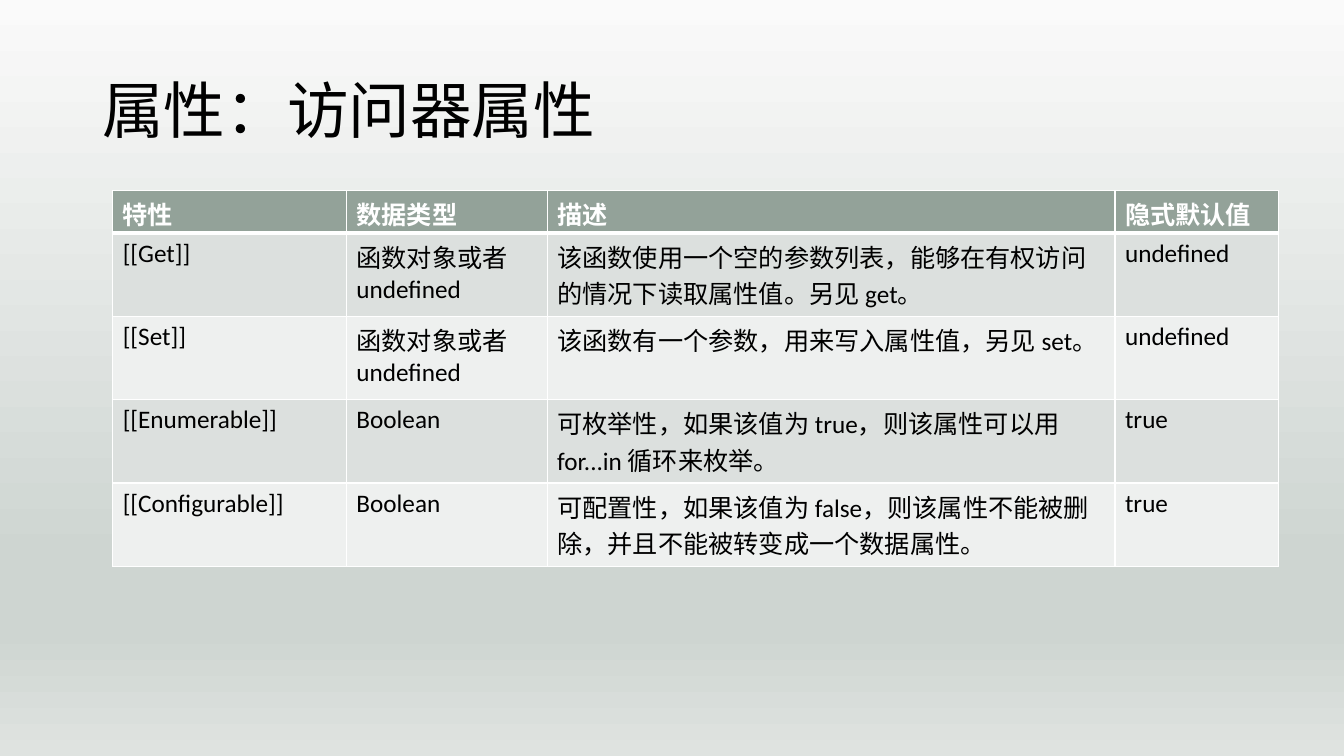
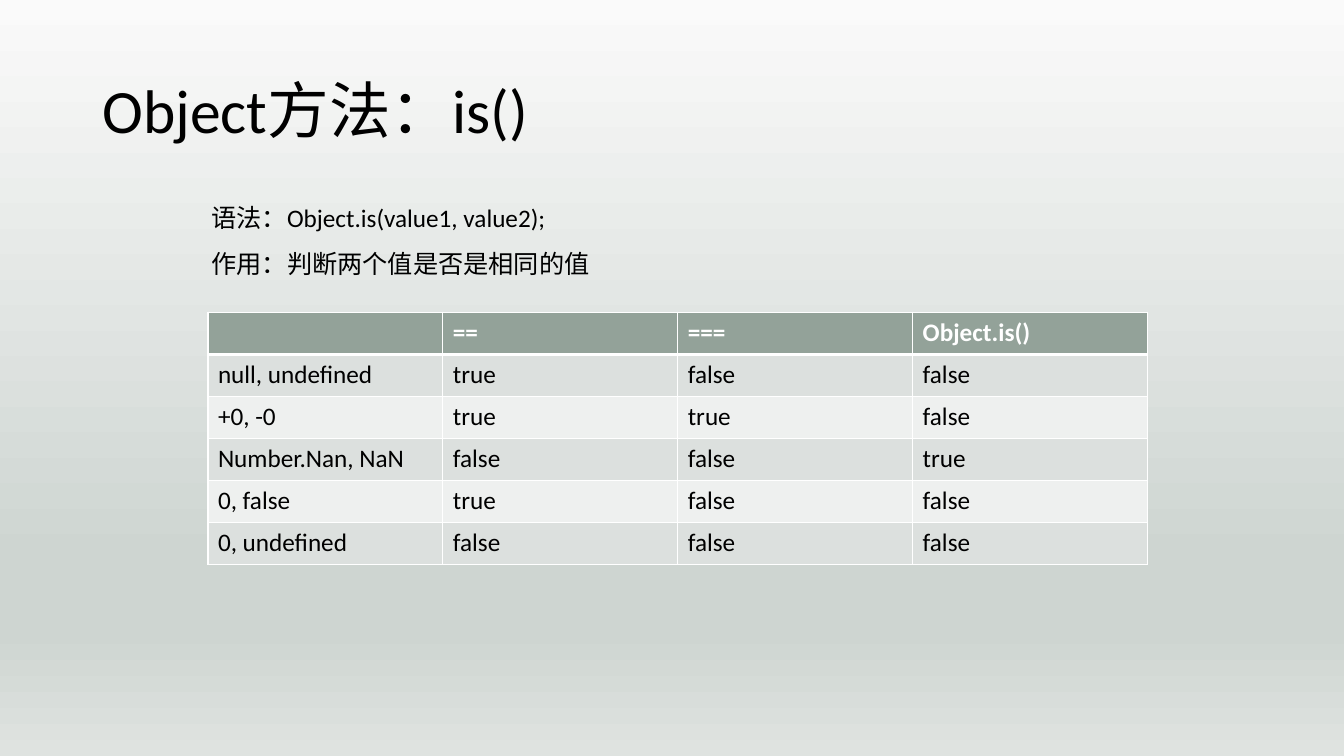
"""Build two slides on object properties and the is() method."""
from dataclasses import dataclass

from lxml import etree
from pptx import Presentation
from pptx import util as u
from pptx.dml.color import RGBColor
from pptx.enum import text as tx
from pptx.oxml import ns

FONT = "Calibri"
HUES = {
    "ink": "000000",
    "white": "FFFFFF",
    "head": "93A299",
    "dark": "DCE0DE",
    "light": "EEF0EF",
}
STOPS = ((0, "FAFAFA"), (74, "CED5D1"), (83, "CED5D1"), (100, "DFE3E0"))


@dataclass(frozen=True)
class Box:
    left: float
    top: float
    width: float
    height: float


@dataclass(frozen=True)
class Grid:
    left: float
    top: float
    cols: tuple[float, ...]
    head: float
    body: float
    rows: tuple[tuple[str, ...], ...]


TITLE = Box(2.33, 1.01, 29.21, 3.68)
NOTE = Box(5.08, 4.6, 10.57, 2.54)

TRAITS = Grid(2.84, 4.8, (5.89, 5.06, 14.31, 4.13), 1.07, 2.1, (
    ("特性", "数据类型", "描述", "隐式默认值"),
    ("[[Get]]", "函数对象或者 undefined",
     "该函数使用一个空的参数列表，能够在有权访问的情况下读取属性值。另见 get。", "undefined"),
    ("[[Set]]", "函数对象或者 undefined",
     "该函数有一个参数，用来写入属性值，另见 set。", "undefined"),
    ("[[Enumerable]]", "Boolean",
     "可枚举性，如果该值为 true，则该属性可以用 for...in 循环来枚举。", "true"),
    ("[[Configurable]]", "Boolean",
     "可配置性，如果该值为 false，则该属性不能被删除，并且不能被转变成一个数据属性。", "true"),
))

TESTS = Grid(5.24, 7.87, (5.92,) * 4, 1.06, 1.06, (
    ("", "==", "===", "Object.is()"),
    ("null, undefined", "true", "false", "false"),
    ("+0, -0", "true", "true", "false"),
    ("Number.Nan, NaN", "false", "false", "true"),
    ("0, false", "true", "false", "false"),
    ("0, undefined", "false", "false", "false"),
))


def style(para, size: float, hue: str = "ink", bold: bool = False) -> None:
    """Set the font of a paragraph."""
    font = para.font
    font.name, font.size, font.bold = FONT, u.Pt(size), bold
    font.color.rgb = RGBColor.from_string(HUES[hue])


def shade(master) -> None:
    """Give the master its gradient background."""
    fill = master.background.fill
    fill.gradient()
    fill.gradient_angle = 270
    stops = master.element.find(".//" + ns.qn("a:gsLst"))
    for stop in list(stops):
        stops.remove(stop)
    for place, hue in STOPS:
        stop = etree.SubElement(stops, ns.qn("a:gs"), pos=str(place * 1000))
        etree.SubElement(stop, ns.qn("a:srgbClr"), val=hue)


def write(slide, box: Box, lines: tuple[str, ...], size: float, gap: float,
          anchor=tx.MSO_ANCHOR.TOP) -> None:
    """Add a text box with one paragraph per line."""
    sides = (u.Cm(n) for n in (box.left, box.top, box.width, box.height))
    frame = slide.shapes.add_textbox(*sides).text_frame
    frame.word_wrap = True
    frame.vertical_anchor = anchor
    frame.text = "\n".join(lines)
    for para in frame.paragraphs:
        para.line_spacing = gap
        style(para, size)


def edge(cell, base: float) -> None:
    """Draw white borders round a cell."""
    props = cell._tc.get_or_add_tcPr()
    for side, width in (("L", 1), ("R", 1), ("T", 1), ("B", base)):
        line = etree.SubElement(props, ns.qn("a:ln" + side), w=str(u.Pt(width)))
        fill = etree.SubElement(line, ns.qn("a:solidFill"))
        etree.SubElement(fill, ns.qn("a:srgbClr"), val=HUES["white"])


def chart(slide, grid: Grid) -> None:
    """Add a table with a dark header and banded rows."""
    count = len(grid.rows)
    high = grid.head + grid.body * (count - 1)
    table = slide.shapes.add_table(
        count, len(grid.cols), u.Cm(grid.left), u.Cm(grid.top),
        u.Cm(sum(grid.cols)), u.Cm(high)).table
    table.horz_banding = False
    for col, width in zip(table.columns, grid.cols):
        col.width = u.Cm(width)
    for i, words in enumerate(grid.rows):
        top = i == 0
        band = "head" if top else ("light", "dark")[i % 2]
        table.rows[i].height = u.Cm(grid.head if top else grid.body)
        for j, word in enumerate(words):
            cell = table.cell(i, j)
            cell.text = word
            style(cell.text_frame.paragraphs[0], 18, "white" if top else "ink", top)
            edge(cell, 3 if i < 1 else 1)
            cell.fill.solid()
            cell.fill.fore_color.rgb = RGBColor.from_string(HUES[band])


def page(deck, title: str, grid: Grid):
    """Add a slide with a title and a table."""
    slide = deck.slides.add_slide(deck.slide_layouts[6])
    write(slide, TITLE, (title,), 44, 0.9, tx.MSO_ANCHOR.MIDDLE)
    chart(slide, grid)
    return slide


def main() -> None:
    """Build and save the deck."""
    deck = Presentation()
    deck.slide_width, deck.slide_height = u.Cm(33.87), u.Cm(19.05)
    shade(deck.slide_master)
    page(deck, "属性：访问器属性", TRAITS)
    slide = page(deck, "Object方法：is()", TESTS)
    write(slide, NOTE, ("语法：Object.is(value1, value2);", "作用：判断两个值是否是相同的值"), 18, 1.5)
    deck.save("out.pptx")


if __name__ == "__main__":
    main()
